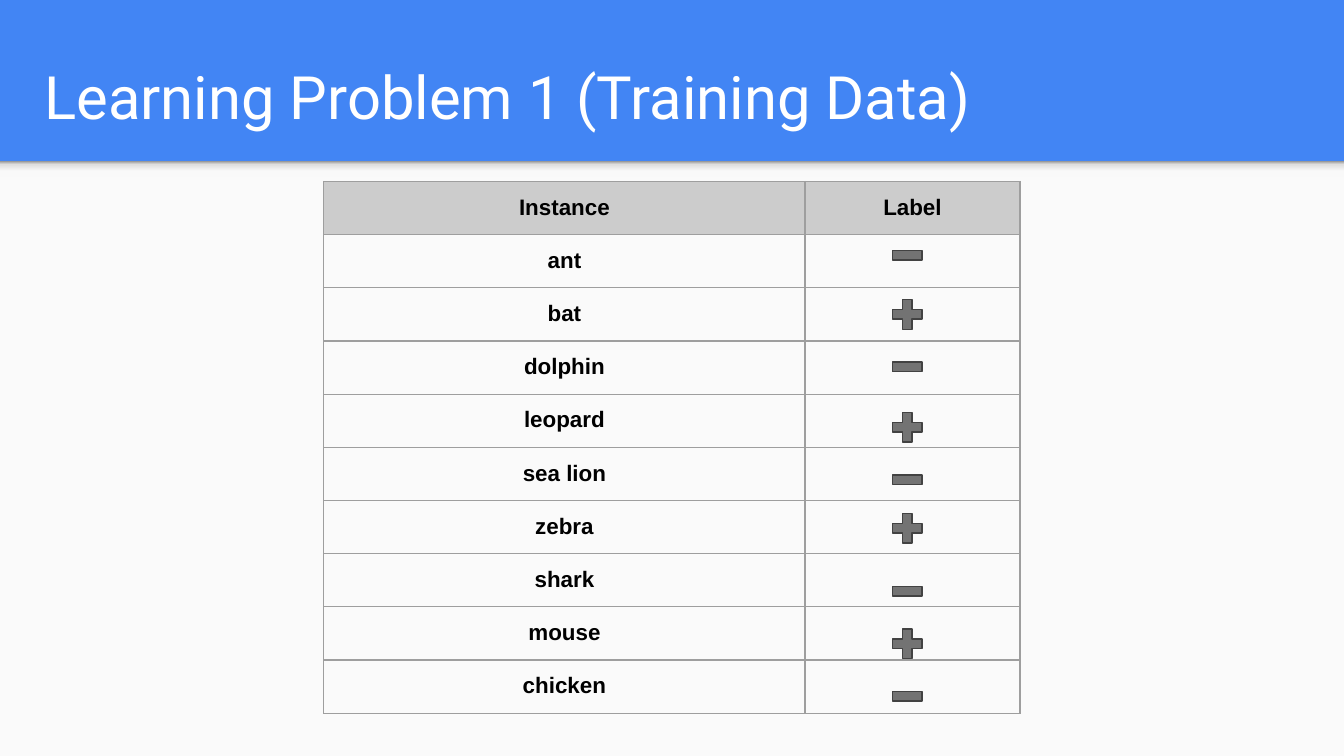
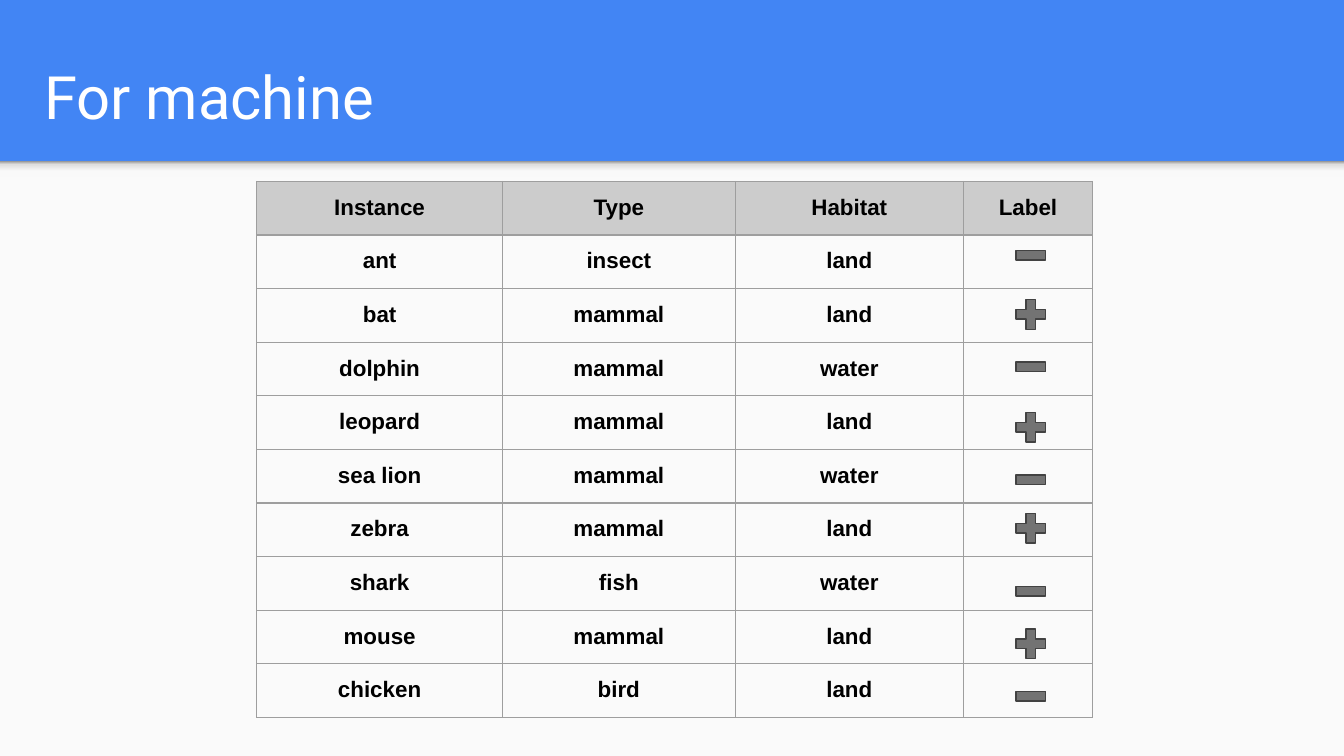
from lxml import etree
from pptx import Presentation
from pptx.dml.color import RGBColor
from pptx.enum.shapes import MSO_SHAPE
from pptx.enum.text import MSO_ANCHOR, MSO_AUTO_SIZE, PP_ALIGN
from pptx.oxml import parse_xml
from pptx.oxml.ns import nsdecls, qn
from pptx.util import Inches, Pt

RECTANGLE = MSO_SHAPE.RECTANGLE
SIGN_SHAPES = {"+": MSO_SHAPE.MATH_PLUS, "-": MSO_SHAPE.MATH_MINUS}
CENTER, LEFT = PP_ALIGN.CENTER, PP_ALIGN.LEFT
BOTTOM = MSO_ANCHOR.BOTTOM
NO_AUTOFIT = MSO_AUTO_SIZE.NONE

BLUE = RGBColor(0x42, 0x85, 0xF4)
PAPER = RGBColor(0xFA, 0xFA, 0xFA)
WHITE = RGBColor(0xFF, 0xFF, 0xFF)
BLACK = RGBColor(0x00, 0x00, 0x00)
HEADER_GRAY = RGBColor(0xCC, 0xCC, 0xCC)
GRID_GRAY = RGBColor(0x9E, 0x9E, 0x9E)
SIGN_FILL = RGBColor(0x73, 0x73, 0x73)
SIGN_LINE = RGBColor(0x42, 0x42, 0x42)
SHADE_STOPS = [
    (0, RGBColor(0xF9, 0xF9, 0xF9)),
    (36, RGBColor(0xF9, 0xF9, 0xF9)),
    (80, RGBColor(0xDE, 0xDE, 0xDE)),
    (100, RGBColor(0x99, 0x99, 0x99)),
]

SLIDE_WIDTH = 10
SLIDE_HEIGHT = SLIDE_WIDTH * 9 / 16
BAND_HEIGHT = 1.2
TITLE_BOX = (0.23, 0.24, 8.99, 0.84)
TABLE_TOP = 1.35
SIGN_SIZE = 0.3
INSET = Inches(0.1)
LINE_WIDTH = Pt(0.75)

# instance, type, habitat, label, distance of the sign below the table top
ANIMALS = [
    ("ant", "insect", "land", "-", 0.4),
    ("bat", "mammal", "land", "+", 0.84),
    ("dolphin", "mammal", "water", "-", 1.23),
    ("leopard", "mammal", "land", "+", 1.68),
    ("sea lion", "mammal", "water", "-", 2.07),
    ("zebra", "mammal", "land", "+", 2.43),
    ("shark", "fish", "water", "-", 2.9),
    ("mouse", "mammal", "land", "+", 3.29),
    ("chicken", "bird", "land", "-", 3.68),
]


def add_plain_shape(slide, kind, left, top, width, height, fill=None):
    shape = slide.shapes.add_shape(
        kind, Inches(left), Inches(top), Inches(width), Inches(height))
    shape.shadow.inherit = False
    shape.line.fill.background()
    if fill is not None:
        shape.fill.solid()
        shape.fill.fore_color.rgb = fill
    return shape


def shade(shape):
    """Fill the shape with a gradient that is darkest at its top edge."""
    stops = "".join(
        f'<a:gs pos="{position * 1000}"><a:srgbClr val="{color}"/></a:gs>'
        for position, color in SHADE_STOPS)
    gradient = parse_xml(
        f'<a:gradFill {nsdecls("a")}><a:gsLst>{stops}</a:gsLst>'
        '<a:lin ang="16200000" scaled="0"/></a:gradFill>')
    shape._element.spPr.find(qn("a:prstGeom")).addnext(gradient)


def add_title_slide(presentation, title):
    """Add a slide with the blue title band and the shaded paper below it."""
    slide = presentation.slides.add_slide(presentation.slide_layouts[5])
    add_plain_shape(slide, RECTANGLE, 0, BAND_HEIGHT, SLIDE_WIDTH,
                    SLIDE_HEIGHT - BAND_HEIGHT, PAPER)
    shade(add_plain_shape(slide, RECTANGLE, 0, BAND_HEIGHT, SLIDE_WIDTH, 0.12))

    placeholder = slide.shapes.title
    placeholder.left, placeholder.top, placeholder.width, placeholder.height = map(
        Inches, TITLE_BOX)
    frame = placeholder.text_frame
    frame.text = title
    frame.auto_size = NO_AUTOFIT
    frame.vertical_anchor = BOTTOM
    frame.margin_left = frame.margin_right = INSET
    frame.margin_top = frame.margin_bottom = INSET
    paragraph = frame.paragraphs[0]
    paragraph.alignment = LEFT
    paragraph.font.name = "Roboto"
    paragraph.font.size = Pt(32)
    paragraph.font.color.rgb = WHITE
    return slide


def add_borders(cell):
    properties = cell._tc.get_or_add_tcPr()
    for side in ("a:lnL", "a:lnR", "a:lnT", "a:lnB"):
        line = etree.SubElement(properties, qn(side), w=str(LINE_WIDTH))
        fill = etree.SubElement(line, qn("a:solidFill"))
        etree.SubElement(fill, qn("a:srgbClr"), val=str(GRID_GRAY))


def format_cell(cell, text, is_header):
    add_borders(cell)
    if is_header:
        cell.fill.solid()
        cell.fill.fore_color.rgb = HEADER_GRAY
    else:
        cell.fill.background()
    # Cells under a sign hold no text, so they need no vertical inset.
    cell.margin_left = cell.margin_right = INSET
    cell.margin_top = cell.margin_bottom = INSET if text else 0
    if not text:
        return
    cell.text = text
    paragraph = cell.text_frame.paragraphs[0]
    paragraph.alignment = CENTER
    paragraph.font.name = "Arial"
    paragraph.font.size = Pt(12)
    paragraph.font.bold = True
    paragraph.font.color.rgb = BLACK


def add_animal_table(slide, left, top, height, widths, rows):
    """Add the grid; the first row is the header."""
    table = slide.shapes.add_table(
        len(rows), len(widths), Inches(left), Inches(top),
        Inches(sum(widths)), Inches(height)).table
    table.first_row = table.horz_banding = False
    for column, width in zip(table.columns, widths):
        column.width = Inches(width)
    for row_index, texts in enumerate(rows):
        table.rows[row_index].height = Inches(height / len(rows))
        for column_index, text in enumerate(texts):
            format_cell(table.cell(row_index, column_index), text, row_index == 0)


def add_signs(slide, left, top):
    for *_, sign, offset in ANIMALS:
        shape = add_plain_shape(slide, SIGN_SHAPES[sign], left, top + offset,
                                SIGN_SIZE, SIGN_SIZE, SIGN_FILL)
        shape.adjustments[0] = 0.235
        shape.line.color.rgb = SIGN_LINE
        shape.line.width = LINE_WIDTH


def add_animal_slide(presentation, title, headers, left, height, widths, sign_left):
    """Show the animals with as many attributes as there are headers."""
    slide = add_title_slide(presentation, title)
    attribute_count = len(headers) - 1
    rows = [headers] + [(*animal[:attribute_count], "") for animal in ANIMALS]
    add_animal_table(slide, left, TABLE_TOP, height, widths, rows)
    add_signs(slide, left + sign_left, TABLE_TOP)


def main():
    presentation = Presentation()
    presentation.slide_width = Inches(SLIDE_WIDTH)
    presentation.slide_height = Inches(SLIDE_HEIGHT)
    background = presentation.slide_master.background.fill
    background.solid()
    background.fore_color.rgb = BLUE

    add_animal_slide(presentation, "Learning Problem 1 (Training Data)",
                     ("Instance", "Label"),
                     2.41, 3.96, (3.58, 1.6), 4.19)
    add_animal_slide(presentation, "For machine",
                     ("Instance", "Type", "Habitat", "Label"),
                     1.91, 3.99, (1.83, 1.73, 1.7, 0.96), 5.61)
    presentation.save("out.pptx")


if __name__ == "__main__":
    main()
